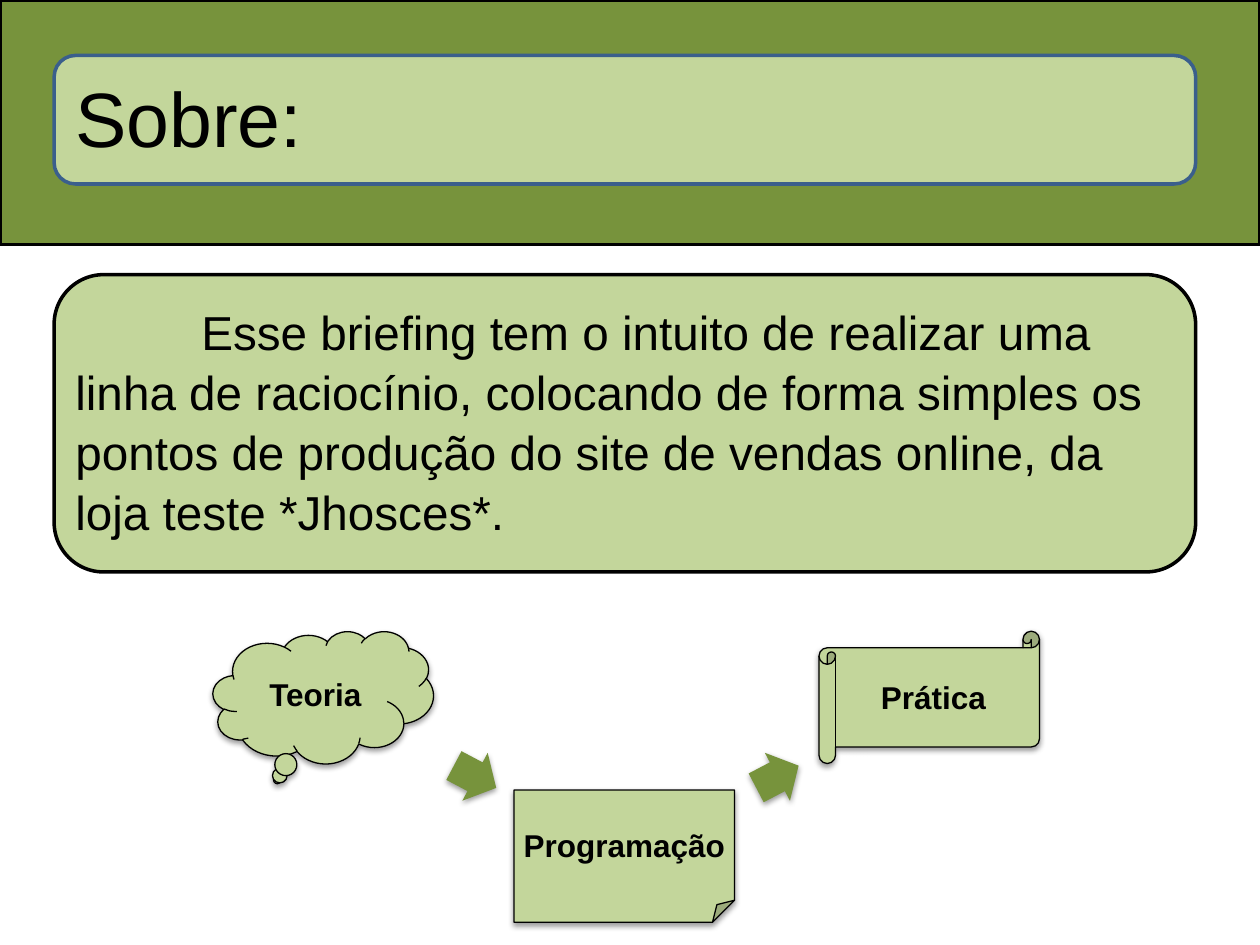
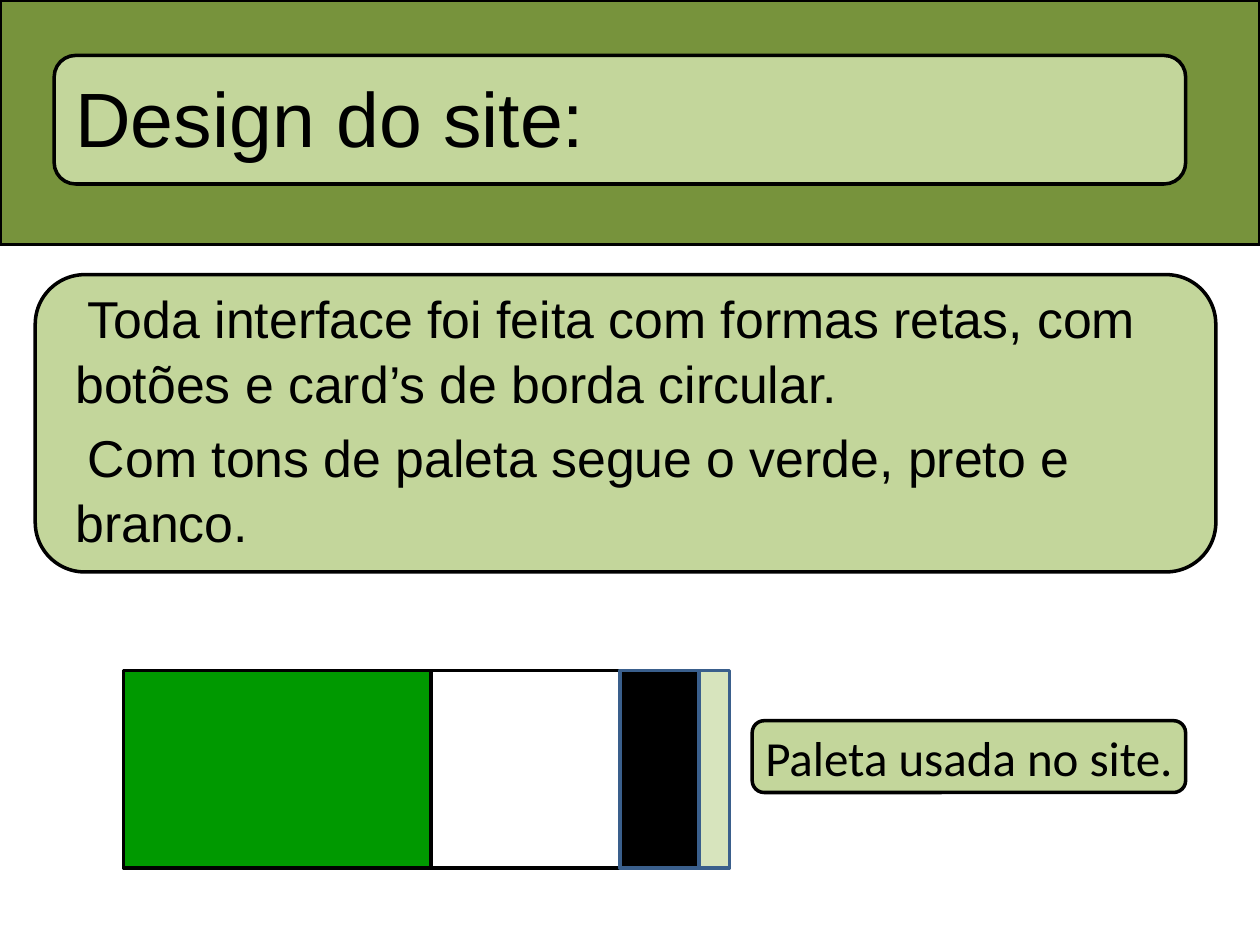
from lxml.etree import SubElement
from pptx import Presentation
from pptx.dml.color import RGBColor
from pptx.enum.shapes import MSO_SHAPE
from pptx.enum.text import MSO_ANCHOR, PP_ALIGN
from pptx.oxml.ns import qn
from pptx.util import Inches, Pt

COLORS = {
    "band": "77933C",
    "panel": "C3D69B",
    "pale": "D7E4BD",
    "green": "009900",
    "blue": "3A5F8C",
    "black": "000000",
    "white": "FFFFFF",
}
PANEL_TOP, PANEL_HEIGHT = 2.18, 2.36
STAGE_WIDTH, STAGE_HEIGHT = 1.75, 1.05


def rgb(name):
    return RGBColor.from_string(COLORS[name])


def add_box(slide, kind, left, top, width, height, fill="panel", line="black", line_width=2):
    shape = slide.shapes.add_shape(
        kind, Inches(left), Inches(top), Inches(width), Inches(height))
    shape.shadow.inherit = False
    shape.fill.solid()
    shape.fill.fore_color.rgb = rgb(fill)
    if line:
        shape.line.color.rgb = rgb(line)
        shape.line.width = Pt(line_width)
    else:
        shape.line.fill.background()
    return shape


def add_soft_shadow(shape):
    effects = shape._element.spPr.find(qn("a:effectLst"))
    shadow = SubElement(effects, qn("a:outerShdw"), blurRad="40000", dist="20000",
                        dir="5400000", rotWithShape="0")
    color = SubElement(shadow, qn("a:srgbClr"), val=COLORS["black"])
    SubElement(color, qn("a:alpha"), val="38000")


def style_font(paragraph, size, name="Arial", bold=False):
    for run in paragraph.runs:
        run.font.name = name
        run.font.size = Pt(size)
        run.font.bold = bold
        run.font.color.rgb = rgb("black")


def add_label(shape, text, size, name="Arial", bold=False):
    """Centre one unwrapped line of text inside the shape."""
    frame = shape.text_frame
    frame.text = text
    frame.word_wrap = False
    frame.vertical_anchor = MSO_ANCHOR.MIDDLE
    frame.margin_left = frame.margin_right = Inches(0.07)
    frame.margin_top = frame.margin_bottom = Inches(0.07)
    paragraph = frame.paragraphs[0]
    paragraph.alignment = PP_ALIGN.CENTER
    style_font(paragraph, size, name, bold)


def add_text_box(slide, left, top, width, height):
    frame = slide.shapes.add_textbox(
        Inches(left), Inches(top), Inches(width), Inches(height)).text_frame
    frame.word_wrap = True
    return frame


def add_header(slide, title, panel_width, line="black"):
    add_box(slide, MSO_SHAPE.RECTANGLE, 0, 0, 10, 1.94, fill="band")
    add_box(slide, MSO_SHAPE.ROUNDED_RECTANGLE, 0.43, 0.44, panel_width, 1.02, line=line)
    frame = add_text_box(slide, 0.5, 0.3, 9, 1.25)
    frame.vertical_anchor = MSO_ANCHOR.MIDDLE
    frame.text = title
    style_font(frame.paragraphs[0], 44)


def add_body(slide, panel_left, panel_width, text_top, texts, size, first_indent):
    add_box(slide, MSO_SHAPE.ROUNDED_RECTANGLE,
            panel_left, PANEL_TOP, panel_width, PANEL_HEIGHT)
    frame = add_text_box(slide, 0.5, text_top, 9, 2.05)
    frame.text = "\n".join(texts)
    for index, paragraph in enumerate(frame.paragraphs):
        properties = paragraph._p.get_or_add_pPr()
        properties.set("marL", "0")
        properties.set("indent", str(Inches(first_indent)))
        paragraph.line_spacing = 1.05
        paragraph.space_before = Pt(5 if index else 0)
        style_font(paragraph, size)


def add_stage(slide, kind, left, top, text):
    shape = add_box(slide, kind, left, top, STAGE_WIDTH, STAGE_HEIGHT, line_width=0.75)
    add_soft_shadow(shape)
    add_label(shape, text, 18, bold=True)


def add_stage_arrow(slide, left, rotation):
    arrow = add_box(slide, MSO_SHAPE.RIGHT_ARROW, left, 5.95, 0.38, 0.43,
                    fill="band", line=None)
    arrow.adjustments[0] = 0.6
    arrow.adjustments[1] = 0.5
    arrow.rotation = rotation
    add_soft_shadow(arrow)


def add_palette(slide, left, swatches):
    for fill, line, width in swatches:
        add_box(slide, MSO_SHAPE.RECTANGLE, left, 5.32, width, 1.57, fill=fill, line=line)
        left += width


def build_about(slide):
    add_header(slide, "Sobre:", 9.06, line="blue")
    add_body(slide, 0.43, 9.06, 2.33, [
        "Esse briefing tem o intuito de realizar uma linha de raciocínio, colocando de "
        "forma simples os pontos de produção do site de vendas online, da loja teste "
        "*Jhosces*.",
    ], 27.2, 1)
    add_stage(slide, MSO_SHAPE.CLOUD_CALLOUT, 1.69, 5.01, "Teoria")
    add_stage_arrow(slide, 3.58, 27.8)
    add_stage(slide, MSO_SHAPE.FOLDED_CORNER, 4.08, 6.27, "Programação")
    add_stage_arrow(slide, 5.98, 332.4)
    add_stage(slide, MSO_SHAPE.HORIZONTAL_SCROLL, 6.5, 5.01, "Prática")


def build_design(slide):
    add_header(slide, "Design do site:", 8.98)
    add_body(slide, 0.28, 9.37, 2.2, [
        "Toda interface foi feita com formas retas, com botões e card’s de borda circular.",
        "Com tons de paleta segue o verde, preto e branco.",
    ], 29.6, 0.1)
    add_palette(slide, 0.98, [
        ("green", "black", 2.44),
        ("white", "black", 1.5),
        ("black", "blue", 0.63),
        ("pale", "blue", 0.24),
    ])
    caption = add_box(slide, MSO_SHAPE.ROUNDED_RECTANGLE, 5.97, 5.72, 3.44, 0.57)
    add_label(caption, "Paleta usada no site.", 28, name="Calibri")


def main():
    presentation = Presentation()
    presentation.slide_width = Inches(10)
    presentation.slide_height = Inches(7.5)
    blank_layout = presentation.slide_layouts[6]
    for build in (build_about, build_design):
        build(presentation.slides.add_slide(blank_layout))
    presentation.save("out.pptx")


if __name__ == "__main__":
    main()
